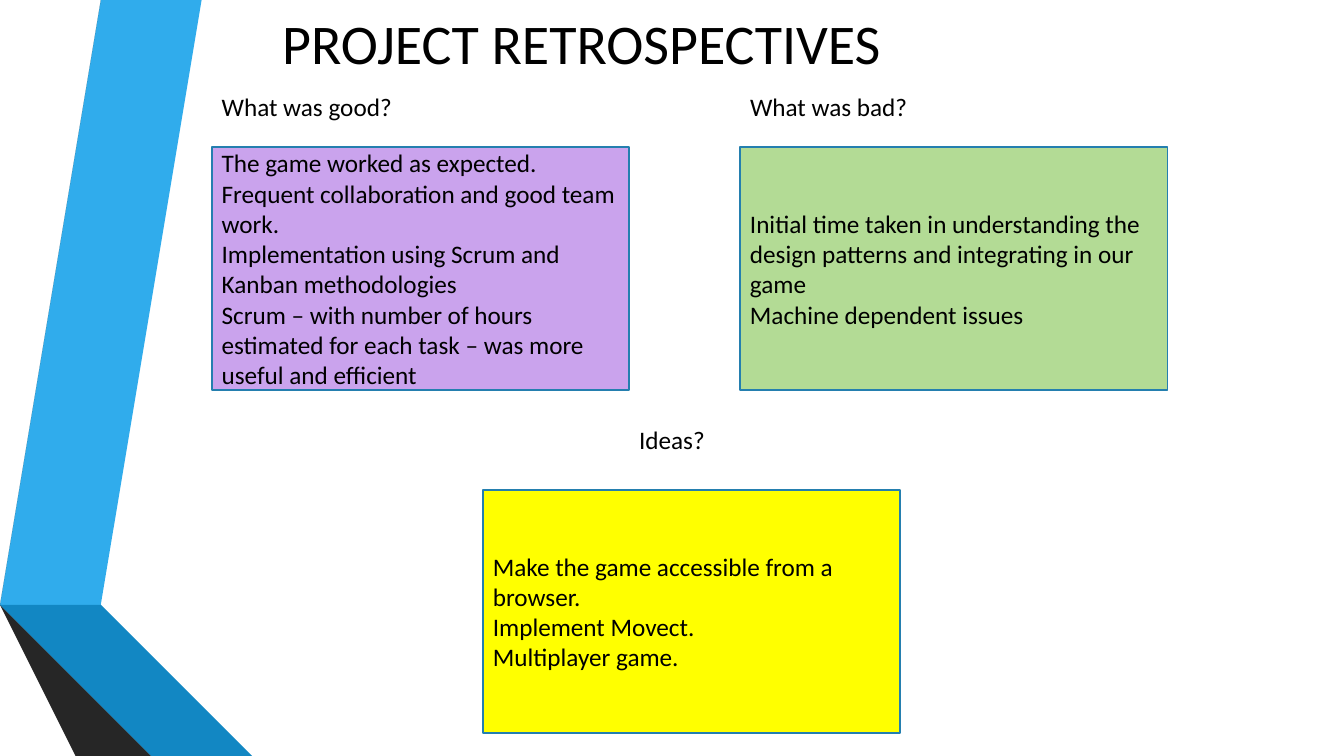
from pptx import Presentation
from pptx.dml.color import RGBColor
from pptx.enum.shapes import MSO_SHAPE as Shape
from pptx.enum.text import MSO_ANCHOR as Anchor, MSO_AUTO_SIZE as Fit, PP_ALIGN as Align
from pptx.util import Inches, Pt

FONT = "Calibri"
WIDE, TALL = 13.33, 7.5
BENDS = [
    ("30ACEC", [(0.5, 5.78), (0.77, 5.83), (1.73, 0), (1.45, 0)]),
    ("595959", [(1.39, 0), (1.11, 0), (0.16, 5.73), (0.44, 5.77)]),
    ("262626", [(0.16, 5.73), (1.45, TALL), (1.51, TALL)]),
    ("0C5A82", [(0.5, 5.79), (2.08, TALL), (2.14, TALL)]),
    ("1287C3", [(0.5, 5.79), (2.14, TALL), (2.83, TALL), (0.77, 5.83), (0.5, 5.78)]),
    ("404040", [(2.02, TALL), (0.48, 5.83), (0.43, 5.78), (0.44, 5.77), (0.16, 5.73), (1.51, TALL)]),
]
CARDS = [
    ("What was good?", 0, 1.91, "CAA3ED", (2.1, 0.86, 4.14, 3.01), [
        "The game worked as expected.",
        "Frequent collaboration and good team work.",
        "Implementation using Scrum and Kanban methodologies",
        "Scrum – with number of hours estimated for each task – was more useful and efficient",
    ]),
    ("What was bad?", 0, 1.78, "B3DB95", (7.34, 0.86, 4.24, 3.01), [
        "Initial time taken in understanding the design patterns and integrating in our game",
        "Machine dependent issues",
    ]),
    ("Ideas?", 1.45, 0.86, "FFFF00", (4.79, 4.16, 4.14, 3.11), [
        "Make the game accessible from a browser.",
        "Implement Movect.",
        "Multiplayer game.",
    ]),
]


def color(code):
    """Turn a hex string into a colour."""
    return RGBColor.from_string(code)


def write(frame, lines, size=18, wrap=True, anchor=Anchor.TOP):
    """Fill a text frame with one paragraph per line."""
    frame.word_wrap = wrap
    frame.vertical_anchor = anchor
    frame.auto_size = Fit.NONE if wrap else Fit.SHAPE_TO_FIT_TEXT
    for i, line in enumerate(lines):
        para = frame.add_paragraph() if i else frame.paragraphs[0]
        para.alignment = Align.LEFT
        run = para.add_run()
        run.text = line
        run.font.name = FONT
        run.font.size = Pt(size)
        run.font.color.rgb = color("000000")


def label(slide, box, text, size=18):
    """Place a single line of text in a box."""
    area = slide.shapes.add_textbox(*map(Inches, box))
    write(area.text_frame, [text], size=size, wrap=False)


def ribbon(slide, box):
    """Draw the folded bands from the corner of a box."""
    left, top = box
    for fill, points in BENDS:
        spots = [(left + x, top + y) for x, y in points]
        pen = slide.shapes.build_freeform(*spots[0], scale=Inches(1))
        pen.add_line_segments(spots[1:], close=True)
        band = pen.convert_to_shape()
        band.shadow.inherit = False
        band.fill.solid()
        band.fill.fore_color.rgb = color(fill)
        band.line.fill.background()


def card(slide, box, head, shift, span, fill, lines):
    """Place a heading at the top of a box and a note at its foot."""
    left, top, width, height = box
    deep = 2.41
    spot = (left, top + height - deep, width, deep)
    note = slide.shapes.add_shape(Shape.RECTANGLE, *map(Inches, spot))
    note.shadow.inherit = False
    note.fill.solid()
    note.fill.fore_color.rgb = color(fill)
    note.line.color.rgb = color("247FAF")
    note.line.width = Pt(1.25)
    write(note.text_frame, lines, anchor=Anchor.MIDDLE)
    label(slide, (left + shift, top, span, 0.4), head)


def main():
    """Build the slide and save it."""
    deck = Presentation()
    deck.slide_width, deck.slide_height = Inches(WIDE), Inches(TALL)
    slide = deck.slides.add_slide(deck.slide_layouts[6])
    ribbon(slide, (0, 0))
    for head, shift, span, fill, box, lines in CARDS:
        card(slide, box, head, shift, span, fill, lines)
    label(slide, (2.7, 0.04, 6.9, 0.77), "PROJECT RETROSPECTIVES", size=40)
    deck.save("out.pptx")


if __name__ == "__main__":
    main()
